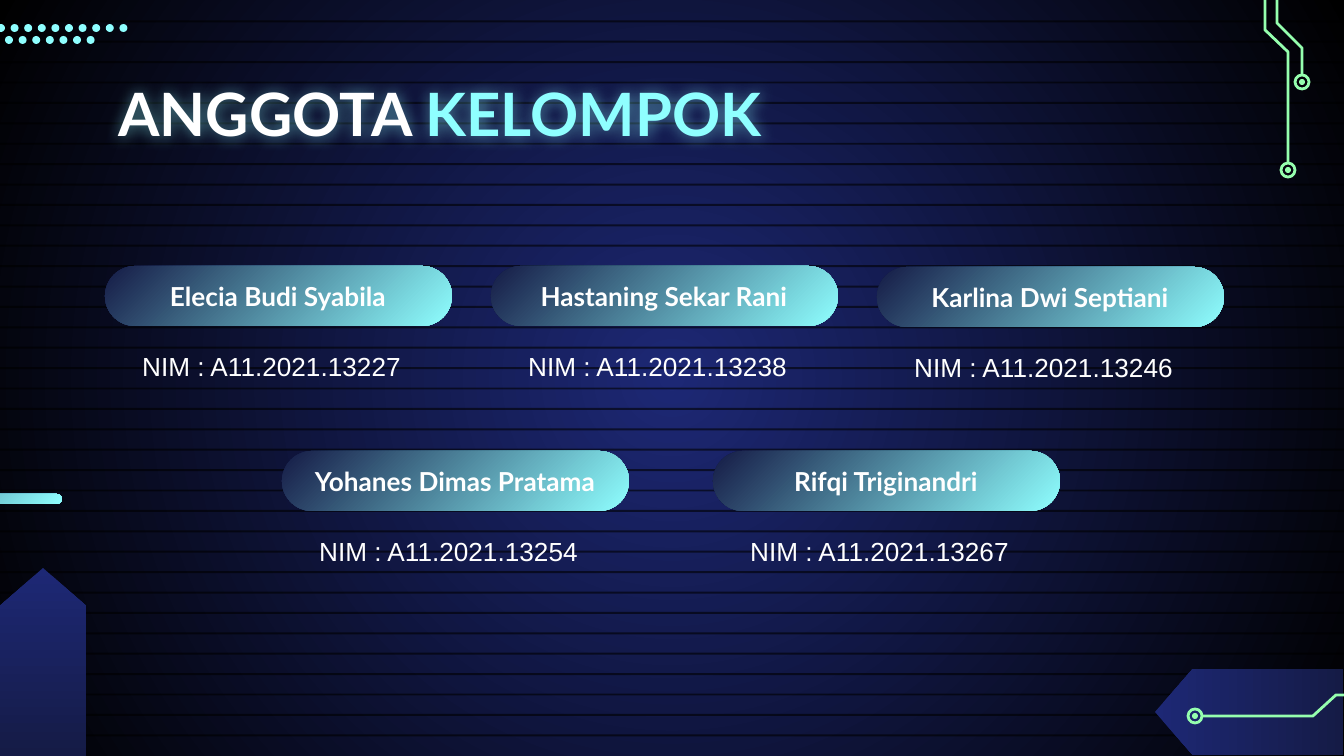
from lxml.etree import SubElement
from pptx import Presentation
from pptx.dml.color import RGBColor
from pptx.enum.shapes import MSO_SHAPE as Shp
from pptx.enum.text import MSO_ANCHOR as Anchor, MSO_AUTO_SIZE as Auto, PP_ALIGN as Align
from pptx.oxml.ns import qn
from pptx.util import Pt

SCALE = 9144000 / 1344
NAVY, BLUE, CYAN, GREEN, WHITE = "151B46", "1D2875", "8FFFFF", "95FFAE", "FFFFFF"
rgb = RGBColor.from_string


def px(*vals):
    """Turn pixel lengths into EMU."""
    return [round(v * SCALE) for v in vals]


def draw(kind, box, fill=None, line=None, turn=0):
    """Add a preset shape; fill is a colour or (start, end, angle)."""
    shape = shapes.add_shape(kind, *px(*box))
    shape.shadow.inherit = False
    shape.rotation = turn
    if fill is None:
        shape.fill.background()
    elif isinstance(fill, tuple):
        shape.fill.gradient()
        shape.fill.gradient_angle = fill[2]
        for stop, tint in zip(shape.fill.gradient_stops, fill):
            stop.color.rgb = rgb(tint)
    else:
        shape.fill.solid()
        shape.fill.fore_color.rgb = rgb(fill)
    if line:
        shape.line.color.rgb = rgb(line)
        shape.line.width = Pt(1.5)
    else:
        shape.line.fill.background()
    if kind == Shp.ROUNDED_RECTANGLE:
        shape.adjustments[0] = 0.5
    return shape


prs = Presentation()
prs.slide_width, prs.slide_height = px(1344, 756)
slide = prs.slides.add_slide(prs.slide_layouts[5])
shapes = slide.shapes

# Radial background
back = slide.background.fill
back.gradient()
for stop, tint in zip(back.gradient_stops, (BLUE, "000000")):
    stop.color.rgb = rgb(tint)
lin = next(slide.element.iter(qn("a:lin")))
grad = lin.getparent()
grad.remove(lin)
focus = SubElement(SubElement(grad, qn("a:path"), path="circle"), qn("a:fillToRect"))
for side in "ltrb":
    focus.set(side, "50000")

# Scan lines
for i in range(1, 37):
    band = draw(Shp.RECTANGLE, (0, 20.4 * i, 1344, 2), "000000")
    tint = next(band.element.spPr.iter(qn("a:srgbClr")))
    SubElement(tint, qn("a:alpha"), val="59000")

# Arrow blocks and circuit traces
arrow = (BLUE, NAVY, 90)
draw(Shp.FLOWCHART_OFFPAGE_CONNECTOR, (1206, 618, 86, 188), arrow, turn=90)
draw(Shp.FLOWCHART_OFFPAGE_CONNECTOR, (0, 568, 86, 188), arrow, turn=180)
traces = [
    [(1265, -91), (1265, 30), (1288, 52), (1288, 163)],
    [(1277, -91), (1277, 23), (1302, 48), (1302, 75)],
    [(1457, 695), (1336, 695), (1313, 716), (1203, 716)],
]
for pts in traces:
    pen = shapes.build_freeform(*pts[0], scale=SCALE)
    pen.add_line_segments(pts[1:], close=False)
    trace = pen.convert_to_shape()
    trace.shadow.inherit = False
    trace.fill.background()
    trace.line.color.rgb = rgb(GREEN)
    trace.line.width = Pt(1.5)
for x, y in [(1288, 170), (1302, 82), (1195, 716)]:
    draw(Shp.OVAL, (x - 7, y - 7, 14, 14), line=GREEN)
    draw(Shp.OVAL, (x - 3, y - 3, 6, 6), GREEN)

# Dots and side bar
for x, y, count in [(-3, 24, 10), (5, 36, 7)]:
    for i in range(count):
        draw(Shp.OVAL, (x + 13.6 * i, y, 8, 8), CYAN)
pill = (NAVY, CYAN, 315)
draw(Shp.ROUNDED_RECTANGLE, (-231, 494, 293, 10), pill)

# Title, in front of the decor, with a soft halo
title = shapes.title
title.left, title.top, title.width, title.height = px(105, 70, 1134, 85)
shapes.element.append(title.element)
frame = title.text_frame
frame.auto_size = Auto.NONE
frame.vertical_anchor = Anchor.MIDDLE
frame.margin_top = frame.margin_bottom = px(13)[0]
para = frame.paragraphs[0]
para.alignment = Align.LEFT
for word, tint in [("ANGGOTA ", WHITE), ("KELOMPOK", CYAN)]:
    run = para.add_run()
    run.text = word
    run.font.name, run.font.size, run.font.bold = "Lato", Pt(32), True
    run.font.color.rgb = rgb(tint)
fx = SubElement(title.element.spPr, qn("a:effectLst"))
halo = SubElement(fx, qn("a:outerShdw"), blurRad="100000", dist="0", rotWithShape="0")
tint = SubElement(halo, qn("a:srgbClr"), val=CYAN)
SubElement(tint, qn("a:alpha"), val="50000")

# Members
members = [
    (105, 266, "Elecia Budi Syabila", "13227"),
    (491, 266, "Hastaning Sekar Rani", "13238"),
    (877, 267, "Karlina Dwi Septiani", "13246"),
    (282, 451, "Yohanes Dimas Pratama", "13254"),
    (713, 451, "Rifqi Triginandri", "13267"),
]
for x, y, name, code in members:
    draw(Shp.ROUNDED_RECTANGLE, (x, y, 347, 60), pill)
    texts = [
        (name, (x + 9, y + 10, 328, 40), "Lato", Align.CENTER, Anchor.MIDDLE),
        ("NIM : A11.2021." + code, (x + 24, y + 78, 300, 46), "Arial", Align.LEFT, Anchor.TOP),
    ]
    for text, box, font, align, anchor in texts:
        frame = shapes.add_textbox(*px(*box)).text_frame
        frame.word_wrap = True
        frame.vertical_anchor = anchor
        para = frame.paragraphs[0]
        para.alignment = align
        run = para.add_run()
        run.text = text
        run.font.name, run.font.size, run.font.bold = font, Pt(14), font == "Lato"
        run.font.color.rgb = rgb(WHITE)

prs.save("out.pptx")
